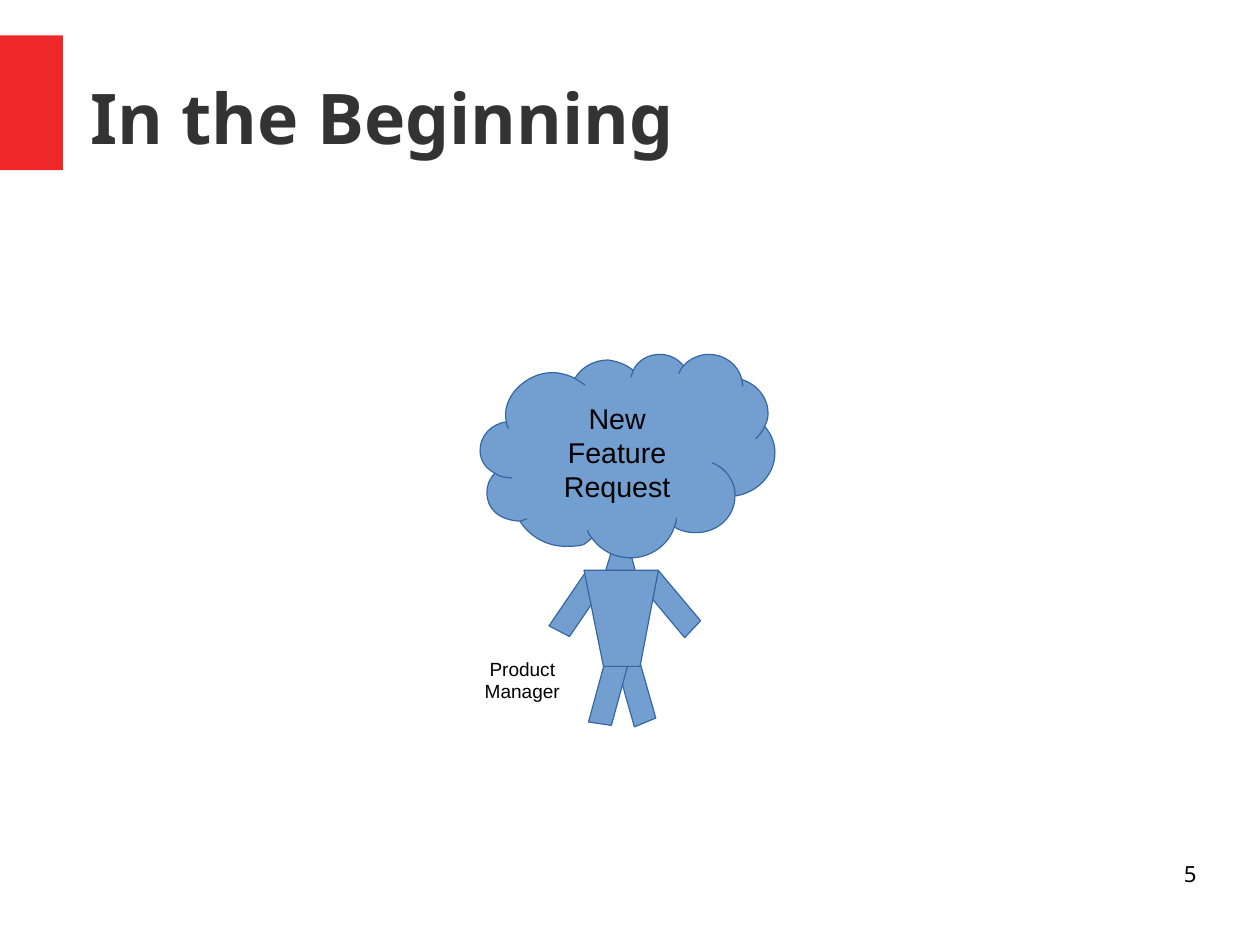
from lxml.etree import SubElement
from pptx import Presentation
from pptx.dml.color import RGBColor
from pptx.enum.shapes import MSO_SHAPE
from pptx.enum.text import MSO_ANCHOR, PP_ALIGN
from pptx.oxml.ns import qn
from pptx.util import Inches, Pt

# Content
TITLE = "In the Beginning"
REQUEST = ["New", "Feature", "Request"]
ROLE = ["Product", "Manager"]
PAGE = ["5"]

RED, BLUE, EDGE, DARK, BLACK = "EF2929", "729FCF", "3465A4", "333333", "000000"
SLIDE_CM = (28, 21)
CM_PER_INCH = 2.54

# Body parts, in inches
NECK = [(5.56, 5), (5.3, 4.99), (5.37, 4.76), (5.5, 4.77)]
TORSO = [(5.11, 4.99), (5.76, 4.99), (5.6, 5.83), (5.28, 5.83)]
LIMB_SIZE = (0.27, 0.57)
LIMBS = [(5.43, 5.76, 157.4), (5.19, 5.77, 8.5),  # legs: left, top, rotation
         (5.74, 5, 133.3), (4.92, 5, 27.6)]       # arms

# Cloud outline: a start, then two control points and an end for each curve
CLOUD_BOX = (4.2, 3.1, 6.78, 4.88)
CLOUD = [
    (4.43, 3.69),
    (4.38, 3.47), (4.61, 3.26), (4.83, 3.26),
    (4.9, 3.26), (4.97, 3.28), (5.03, 3.31),
    (5.09, 3.21), (5.2, 3.15), (5.32, 3.15),
    (5.4, 3.16), (5.48, 3.19), (5.54, 3.24),
    (5.58, 3.15), (5.68, 3.1), (5.77, 3.1),
    (5.86, 3.1), (5.93, 3.14), (5.98, 3.2),
    (6.03, 3.14), (6.12, 3.1), (6.2, 3.1),
    (6.34, 3.1), (6.46, 3.19), (6.49, 3.32),
    (6.62, 3.36), (6.72, 3.48), (6.72, 3.61),
    (6.72, 3.66), (6.71, 3.69), (6.69, 3.73),
    (6.75, 3.8), (6.78, 3.88), (6.78, 3.96),
    (6.78, 4.15), (6.63, 4.31), (6.43, 4.34),
    (6.43, 4.52), (6.28, 4.66), (6.09, 4.66),
    (6.02, 4.66), (5.96, 4.65), (5.9, 4.61),
    (5.85, 4.77), (5.69, 4.88), (5.52, 4.88),
    (5.38, 4.88), (5.26, 4.82), (5.18, 4.71),
    (5.11, 4.75), (5.15, 4.78), (4.95, 4.78),
    (4.78, 4.78), (4.63, 4.69), (4.55, 4.56),
    (4.36, 4.55), (4.26, 4.45), (4.26, 4.31),
    (4.26, 4.25), (4.28, 4.19), (4.33, 4.14),
    (4.25, 4.1), (4.2, 4.03), (4.2, 3.94),
    (4.2, 3.81), (4.3, 3.71), (4.43, 3.69),
]
CREASES = [
    [(4.43, 3.69), (4.43, 3.71), (4.44, 3.74), (4.45, 3.75)],
    [(5.03, 3.31), (5.06, 3.33), (5.09, 3.35), (5.12, 3.37)],
    [(5.54, 3.24), (5.53, 3.26), (5.53, 3.28), (5.52, 3.3)],
    [(5.98, 3.2), (5.96, 3.22), (5.95, 3.24), (5.94, 3.27)],
    [(6.49, 3.32), (6.49, 3.34), (6.5, 3.37), (6.5, 3.38)],
    [(6.69, 3.73), (6.67, 3.78), (6.64, 3.81), (6.61, 3.84)],
    [(6.43, 4.34), (6.44, 4.27), (6.39, 4.11), (6.23, 4.05)],
    [(5.9, 4.61), (5.91, 4.59), (5.92, 4.56), (5.92, 4.53)],
    [(5.18, 4.71), (5.16, 4.69), (5.15, 4.67), (5.14, 4.64)],
    [(4.55, 4.56), (4.57, 4.55), (4.59, 4.55), (4.61, 4.54)],
    [(4.33, 4.14), (4.37, 4.17), (4.41, 4.18), (4.48, 4.18)],
]


def color(hex_text):
    return RGBColor.from_string(hex_text)


def paint(shape, fill=BLUE, edge=EDGE):
    shape.shadow.inherit = False
    shape.fill.solid()
    shape.fill.fore_color.rgb = color(fill)
    if edge:
        shape.line.color.rgb = color(edge)
        shape.line.width = Pt(0)
    else:
        shape.line.fill.background()
    return shape


def outline(shapes, points):
    corners = [(Inches(x), Inches(y)) for x, y in points]
    builder = shapes.build_freeform(*corners[0])
    builder.add_line_segments(corners[1:], close=True)
    return builder.convert_to_shape()


def add_curves(path_list, controls, box, filled):
    """Add one path of cubic curves, measured from the corner of the box."""
    left, top, right, bottom = box
    path = SubElement(path_list, qn("a:path"),
                      w=str(Inches(right - left)), h=str(Inches(bottom - top)))
    if not filled:
        path.set("fill", "none")
    starts = [controls[:1]]
    curves = [controls[i:i + 3] for i in range(1, len(controls), 3)]
    for points in starts + curves:
        command = SubElement(path, qn("a:moveTo" if len(points) == 1 else "a:cubicBezTo"))
        for x, y in points:
            SubElement(command, qn("a:pt"), x=str(Inches(x - left)), y=str(Inches(y - top)))
    if filled:
        SubElement(path, qn("a:close"))


def write(shape, lines, font, margins, align=PP_ALIGN.CENTER, anchor=MSO_ANCHOR.TOP):
    frame = shape.text_frame
    left, top, right, bottom = map(Inches, margins)
    layout = {"word_wrap": True, "vertical_anchor": anchor, "margin_left": left,
              "margin_top": top, "margin_right": right, "margin_bottom": bottom}
    for key, value in layout.items():
        setattr(frame, key, value)
    for i, line in enumerate(lines):
        paragraph = frame.add_paragraph() if i else frame.paragraphs[0]
        paragraph.text = line
        paragraph.alignment = align
        for key, value in font.items():
            if key == "color":
                paragraph.font.color.rgb = color(value)
            else:
                setattr(paragraph.font, key, value)


deck = Presentation()
deck.slide_width = Inches(SLIDE_CM[0] / CM_PER_INCH)
deck.slide_height = Inches(SLIDE_CM[1] / CM_PER_INCH)
slide = deck.slides.add_slide(deck.slide_layouts[5])

# Title with its red marker
marker = slide.shapes.add_shape(MSO_SHAPE.RECTANGLE, *map(Inches, (0, 0.31, 0.55, 1.18)))
paint(marker, RED, None)
title = slide.shapes.title
title.left, title.top, title.width, title.height = map(Inches, (0.79, 0.33, 9.68, 1.38))
write(title, [TITLE], {"size": Pt(44), "name": "Noto Sans", "bold": True, "color": DARK},
      (0, 0, 0, 0), PP_ALIGN.LEFT, MSO_ANCHOR.MIDDLE)

# Product manager
manager = slide.shapes.add_group_shape().shapes
paint(outline(manager, NECK))
for left, top, rotation in LIMBS:
    limb = manager.add_shape(MSO_SHAPE.PARALLELOGRAM, *map(Inches, (left, top, *LIMB_SIZE)))
    limb.rotation = rotation
    paint(limb)
paint(outline(manager, TORSO))

# Thought cloud in place of the head
x1, y1, x2, y2 = CLOUD_BOX
cloud = paint(outline(manager, [(x1, y1), (x2, y1), (x2, y2), (x1, y2)]))
cloud_paths = next(cloud._element.iter(qn("a:pathLst")))
cloud_paths.remove(cloud_paths[0])
add_curves(cloud_paths, CLOUD, CLOUD_BOX, True)
for crease in CREASES:
    add_curves(cloud_paths, crease, CLOUD_BOX, False)
write(cloud, REQUEST, {"size": Pt(18), "name": "Arial", "color": BLACK},
      (0.1, 0.05, 0.28, 0.12), anchor=MSO_ANCHOR.MIDDLE)

# Role label and page number
role = slide.shapes.add_textbox(*map(Inches, (4.14, 5.7, 0.86, 0.47)))
write(role, ROLE, {"size": Pt(12), "name": "Arial", "color": BLACK}, (0.05, 0.05, 0.05, 0.05))
page = slide.shapes.add_textbox(*map(Inches, (7.9, 7.53, 2.57, 0.57)))
write(page, PAGE, {"size": Pt(14), "name": "Noto Sans", "color": BLACK},
      (0, 0, 0, 0), PP_ALIGN.RIGHT)

deck.save("out.pptx")
